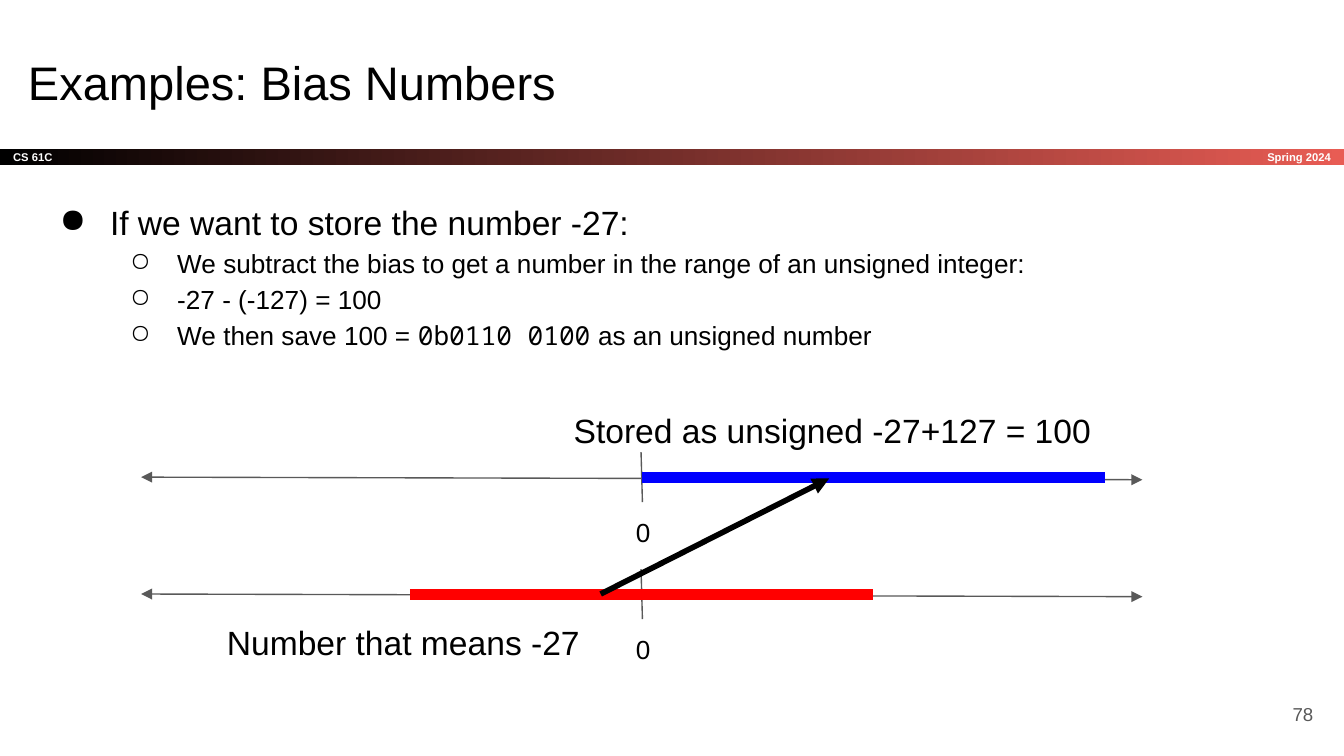
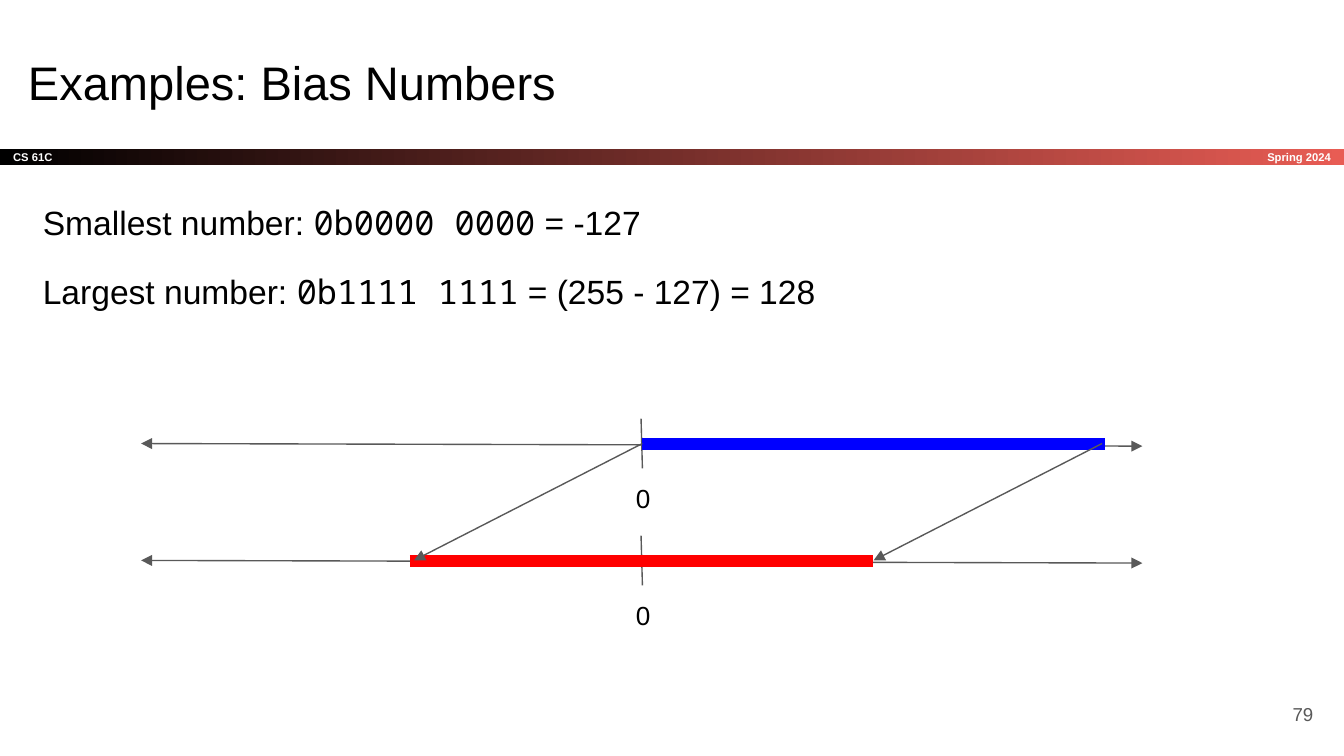
import pptx
import pptx.dml.color
import pptx.enum.shapes
import pptx.enum.text
import pptx.oxml.ns
import pptx.util
from lxml import etree

Pt = pptx.util.Pt
qn = pptx.oxml.ns.qn
ALIGN = pptx.enum.text.PP_ALIGN
ANCHOR = pptx.enum.text.MSO_ANCHOR

COLORS = {
    "text": "000000",
    "white": "FFFFFF",
    "gray": "595959",
    "coral": "E85C54",
    "unsigned": "0000FF",
    "biased": "FF0000",
}
SANS = "Arial"
MONO = "Noto Sans Mono"
INSET = Pt(7.2)
FRAME = {
    "word_wrap": True,
    "margin_left": INSET,
    "margin_right": INSET,
    "margin_top": INSET,
    "margin_bottom": INSET,
}
BULLETS = [("●", 36, -27), ("○", 72, -25.2)]

BAND = (0, 79.92, 720, 8.64)
TERM = (600.48, 79.92, 119.52, 8.64)
TITLE = (7.92, 21.6, 671.04, 45.36)
BODY = (15.84, 97.92, 671.04, 296.64)
NUMBER = (667.44, 367.2, 43.2, 30.96)

ZERO = 344.16
RANGE = 248
BIASED_START = 219.6
AXIS_GAP = 62.64


def rgb(name):
    return pptx.dml.color.RGBColor.from_string(COLORS[name])


def assign(target, values):
    for name, value in values.items():
        setattr(target, name, value)


class Deck:
    def __init__(self):
        self.presentation = pptx.Presentation()
        assign(self.presentation, {"slide_width": Pt(720), "slide_height": Pt(405)})
        self.slide = None

    def start_slide(self, title, number):
        self.slide = self.presentation.slides.add_slide(self.presentation.slide_layouts[6])
        footer = {"size": 6, "color": "white", "bold": True, "anchor": ANCHOR.MIDDLE}
        self.band("CS 61C", footer)
        self.text(TERM, ["Spring 2024"], align=ALIGN.RIGHT, **footer)
        self.text(TITLE, [title], size=25.2)
        self.text(NUMBER, [str(number)], size=10, color="gray",
                  align=ALIGN.RIGHT, anchor=ANCHOR.MIDDLE)

    def band(self, label, style):
        shape = self.slide.shapes.add_shape(
            pptx.enum.shapes.MSO_SHAPE.RECTANGLE, *map(Pt, BAND))
        shape.shadow.inherit = False
        shape.line.fill.background()
        shape.fill.gradient()
        shape.fill.gradient_angle = 0
        for stop, color in zip(shape.fill.gradient_stops, ("text", "coral")):
            stop.color.rgb = rgb(color)
        self.paragraphs(shape.text_frame, [label], **style)

    def text(self, box, lines, outline=False, **style):
        shape = self.slide.shapes.add_textbox(*map(Pt, box))
        if outline:
            shape.line.color.rgb = rgb("white")
            shape.line.width = Pt(0.75)
        self.paragraphs(shape.text_frame, lines, **style)
        return shape.text_frame

    def paragraphs(self, frame, lines, align=ALIGN.LEFT, anchor=ANCHOR.TOP, **font):
        assign(frame, {**FRAME, "vertical_anchor": anchor})
        for index, line in enumerate(lines):
            paragraph = frame.add_paragraph() if index else frame.paragraphs[0]
            paragraph.alignment = align
            self.runs(paragraph, line, **font)

    def runs(self, paragraph, line, size=18, color="text", bold=False):
        for index, part in enumerate(line.split("`")):
            run = paragraph.add_run()
            run.text = part
            assign(run.font, {"name": MONO if index % 2 else SANS,
                              "size": Pt(size), "bold": bold})
            run.font.color.rgb = rgb(color)

    def body(self, lines):
        frame = self.text(BODY, lines, outline=True)
        for paragraph in frame.paragraphs:
            paragraph.line_spacing = 1.15
        return frame.paragraphs

    def bullet(self, paragraph, level, size):
        character, margin, indent = BULLETS[level]
        paragraph.level = level
        for run in paragraph.runs:
            run.font.size = Pt(size)
        properties = paragraph._p.get_or_add_pPr()
        properties.set("marL", str(Pt(margin)))
        properties.set("indent", str(Pt(indent)))
        color = etree.SubElement(properties, qn("a:buClr"))
        etree.SubElement(color, qn("a:srgbClr"), val=COLORS["text"])
        etree.SubElement(properties, qn("a:buChar"), char=character)

    def line(self, start, end, color="gray", width=0.75, arrows=()):
        connector = self.slide.shapes.add_connector(
            pptx.enum.shapes.MSO_CONNECTOR.STRAIGHT, *map(Pt, (*start, *end)))
        connector.line.color.rgb = rgb(color)
        connector.line.width = Pt(width)
        properties = connector.element.spPr
        for arrow in arrows:
            etree.SubElement(properties.find(qn("a:ln")), qn(f"a:{arrow}"), type="triangle")
        etree.SubElement(properties, qn("a:effectLst"))

    def number_line(self, y, start, color, outline=False):
        self.line((75.6, y), (612, y + 1.44), arrows=("headEnd", "tailEnd"))
        self.text((329.04, y + 13.68, 30.96, 31.68), ["0"], outline,
                  size=14, align=ALIGN.CENTER)
        self.line((ZERO - 0.72, y - 13.3), (ZERO, y + 13.4))
        self.line((start, y + 0.3), (start + RANGE, y + 0.3), color, 6)

    def number_lines(self, y):
        self.number_line(y, ZERO, "unsigned", outline=True)
        self.number_line(y + AXIS_GAP, BIASED_START, "biased")


def storing_slide(deck):
    deck.start_slide("Examples: Bias Numbers", 78)
    paragraphs = deck.body([
        "If we want to store the number -27:",
        "We subtract the bias to get a number in the range of an unsigned integer:",
        "-27 - (-127) = 100",
        "We then save 100 = `0b0110 0100` as an unsigned number",
    ])
    deck.bullet(paragraphs[0], 0, 18)
    for paragraph in paragraphs[1:]:
        deck.bullet(paragraph, 1, 14)
    deck.number_lines(255.6)
    deck.line((321.84, 318.24), (444.24, 256.32), "text", 3, ("tailEnd",))
    deck.text((300.24, 212.4, 357.84, 30.96), ["Stored as unsigned -27+127 = 100"])
    deck.text((114.48, 326.16, 220.32, 30.96), ["Number that means -27"])


def limits_slide(deck):
    deck.start_slide("Examples: Bias Numbers", 79)
    paragraphs = deck.body([
        "Smallest number: `0b0000 0000` = -127",
        "Largest number: `0b1111 1111` = (255 - 127) = 128",
    ])
    assign(paragraphs[1], {"space_before": Pt(12), "space_after": Pt(12)})
    y = 237.6
    deck.number_lines(y)
    for start, end in ((ZERO, 221.76), (590.4, 468)):
        deck.line((start, y), (end, y + AXIS_GAP), arrows=("tailEnd",))


def main():
    deck = Deck()
    storing_slide(deck)
    limits_slide(deck)
    deck.presentation.save("out.pptx")


if __name__ == "__main__":
    main()
